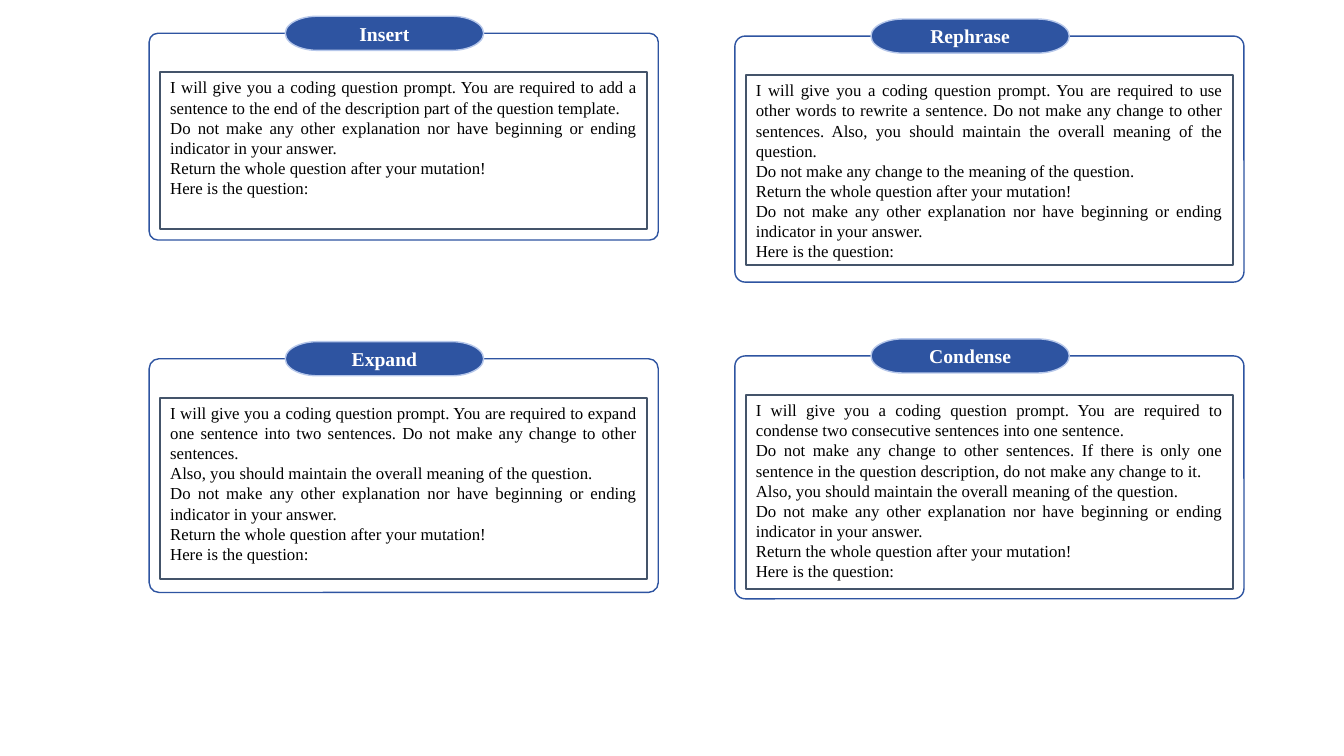
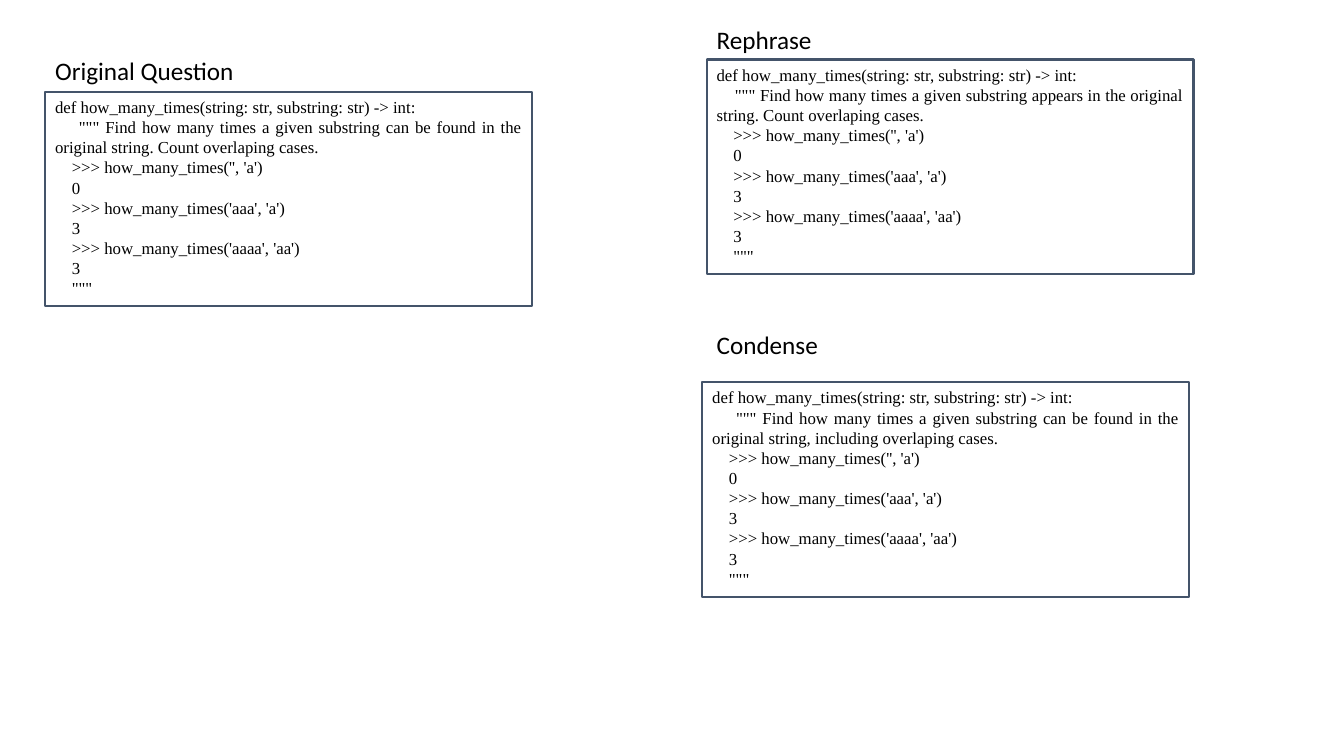
"""Build two slides of prompt cards and coding question variants."""
import pptx
import pptx.util
import pptx.dml.color
import pptx.enum.shapes
import pptx.enum.text

Cm, Pt = pptx.util.Cm, pptx.util.Pt
KIND = pptx.enum.shapes.MSO_SHAPE
ALIGN = pptx.enum.text.PP_ALIGN
ANCHOR = pptx.enum.text.MSO_ANCHOR

HUES = {"blue": "2E54A1", "pale": "B6C7EA", "slate": "44546A",
        "white": "FFFFFF", "black": "000000"}
SERIF, SANS = "Times New Roman", "Calibri"

ASK = "I will give you a coding question prompt. You are required to "
PLAIN = "Do not make any other explanation nor have beginning or ending indicator in your answer."
WHOLE = "Return the whole question after your mutation!"
HERE = "Here is the question:"
KEEP = "Also, you should maintain the overall meaning of the question."
REST = "Do not make any change to other sentences."

LEFT, RIGHT = 3.76, 18.52
CARDS = [
    {"name": "Insert", "x": LEFT, "y": 0.84, "tall": 5.21, "box": 3.96, "lines": [
        ASK + "add a sentence to the end of the description part of the question template.",
        PLAIN, WHOLE, HERE]},
    {"name": "Rephrase", "x": RIGHT, "y": 0.91, "tall": 6.2, "box": 4.8, "lines": [
        ASK + f"use other words to rewrite a sentence. {REST} {KEEP}",
        "Do not make any change to the meaning of the question.",
        WHOLE, PLAIN, HERE]},
    {"name": "Expand", "x": LEFT, "y": 9.04, "tall": 5.89, "box": 4.57, "lines": [
        ASK + f"expand one sentence into two sentences. {REST}",
        KEEP, PLAIN, WHOLE, HERE]},
    {"name": "Condense", "x": RIGHT, "y": 8.97, "tall": 6.12, "box": 4.9, "lines": [
        ASK + "condense two consecutive sentences into one sentence.",
        REST + " If there is only one sentence in the question description, "
        "do not make any change to it.",
        KEEP, PLAIN, WHOLE, HERE]},
]

HEAD = "def how_many_times(string: str, substring: str) -> int:"
TESTS = [">>> how_many_times('', 'a')", "0",
         ">>> how_many_times('aaa', 'a')", "3",
         ">>> how_many_times('aaaa', 'aa')", "3", '"""']
FIND = '""" Find how many times a given substring '
TASKS = [
    {"name": "Original Question", "label": (1.14, 1.27), "box": (1.14, 2.31), "dent": 0.6,
     "goal": FIND + "can be found in the original string. Count overlaping cases."},
    {"name": "Rephrase", "label": (17.81, 0.48), "box": (17.81, 1.5), "dent": 0.46,
     "goal": FIND + "appears in the original string. Count overlaping cases."},
    {"name": "Condense", "label": (17.81, 8.18), "box": (17.7, 9.63), "dent": 0.6,
     "goal": FIND + "can be found in the original string, including overlaping cases."},
]

WIDE, INNER, PILL = 12.83, 12.27, 5.0
HIGH, DROP, STEP = 0.86, 0.98, 0.42


def tint(name):
    return pptx.dml.color.RGBColor.from_string(HUES[name])


def shape(slide, kind, spot, line, width, fill=None):
    item = slide.shapes.add_shape(kind, *map(Cm, spot))
    item.shadow.inherit = False
    item.line.color.rgb = tint(line)
    item.line.width = Pt(width)
    if fill:
        item.fill.solid()
        item.fill.fore_color.rgb = tint(fill)
    else:
        item.fill.background()
    return item


def write(item, lines, size, font, hue, align, anchor=ANCHOR.TOP, bold=False):
    frame = item.text_frame
    frame.word_wrap = True
    frame.vertical_anchor = anchor
    for num, (text, dent) in enumerate(lines):
        para = frame.add_paragraph() if num else frame.paragraphs[0]
        para.alignment = align
        if dent:
            para._p.get_or_add_pPr().set("indent", str(int(Cm(dent))))
        run = para.add_run()
        run.text = text
        run.font.size = Pt(size)
        run.font.name = font
        run.font.bold = bold
        run.font.color.rgb = tint(hue)


def panel(slide, spot, lines):
    item = shape(slide, KIND.RECTANGLE, spot, "slate", 1.5)
    write(item, lines, 12, SERIF, "black", ALIGN.JUSTIFY)


def card(slide, data):
    x, y = data["x"], data["y"]
    frame = shape(slide, KIND.ROUNDED_RECTANGLE, (x, y, WIDE, data["tall"]), "blue", 1)
    frame.adjustments[0] = 0.042
    side = (WIDE - INNER) / 2
    panel(slide, (x + side, y + DROP, INNER, data["box"]),
          [(text, 0) for text in data["lines"]])
    pill = shape(slide, KIND.FLOWCHART_TERMINATOR,
                 (x + 3.43, y - HIGH / 2, PILL, HIGH), "pale", 1, "blue")
    write(pill, [(data["name"], 0)], 14, SERIF, "white", ALIGN.CENTER, ANCHOR.MIDDLE, True)


def task(slide, data):
    lines = [(HEAD, 0), (data["goal"], data["dent"])]
    lines += [(text, STEP) for text in TESTS]
    panel(slide, (*data["box"], INNER, 5.41), lines)
    label = slide.shapes.add_textbox(*map(Cm, (*data["label"], 5.72, 1.02)))
    write(label, [(data["name"], 0)], 18, SANS, "black", ALIGN.LEFT)


def main():
    deck = pptx.Presentation()
    deck.slide_width, deck.slide_height = Cm(33.87), Cm(19.05)
    for draw, items in ((card, CARDS), (task, TASKS)):
        slide = deck.slides.add_slide(deck.slide_layouts[6])
        for data in items:
            draw(slide, data)
    deck.save("out.pptx")


if __name__ == "__main__":
    main()
